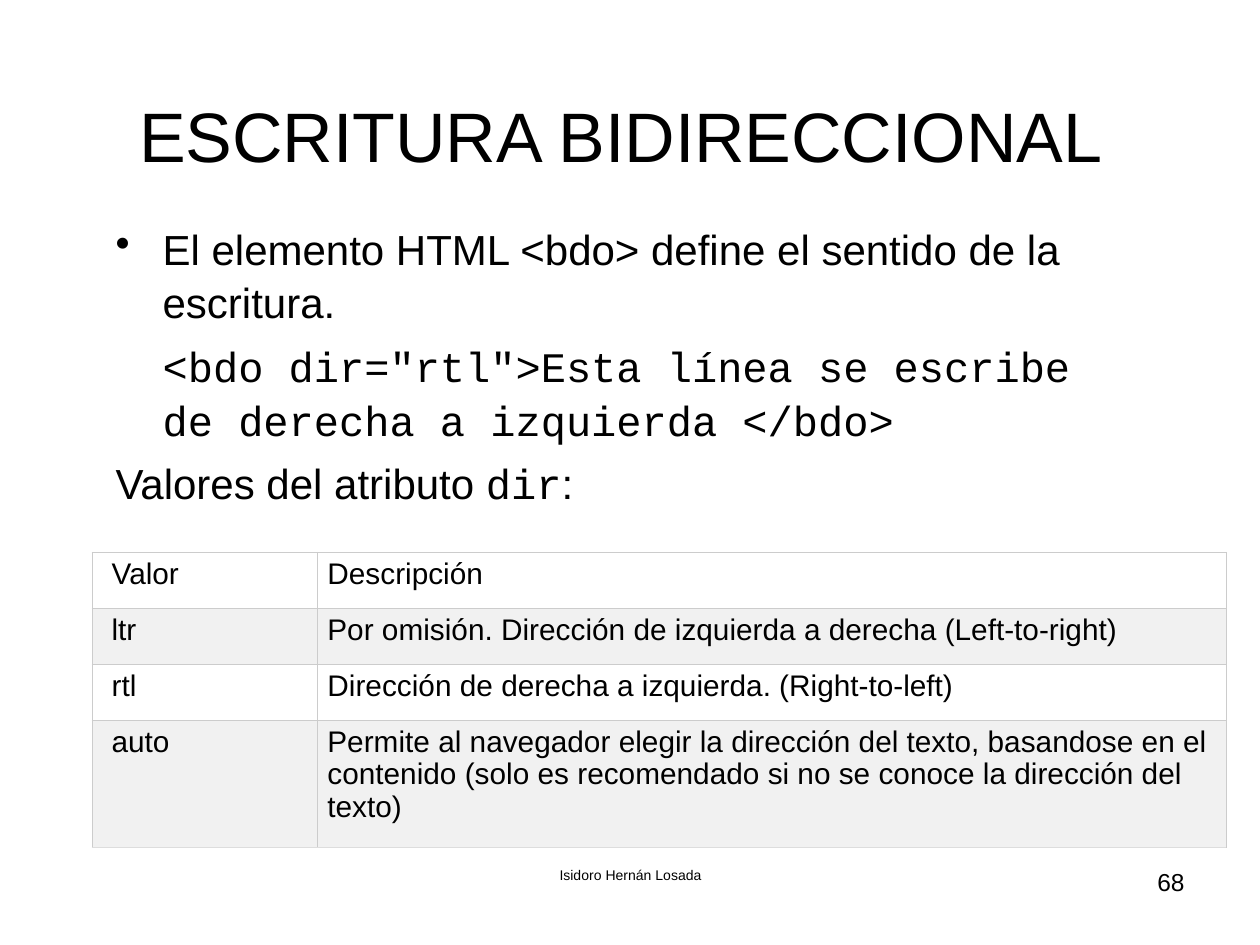
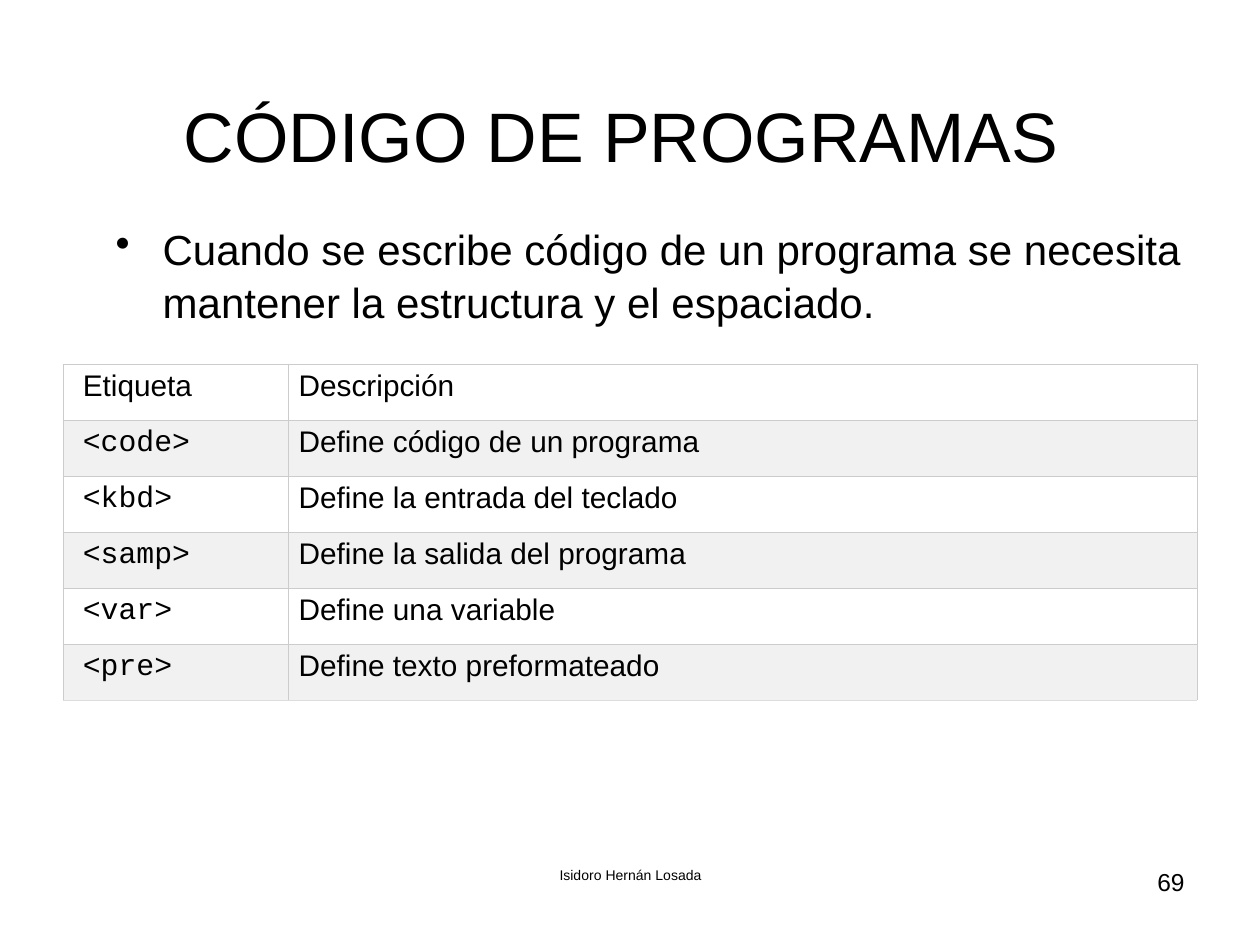
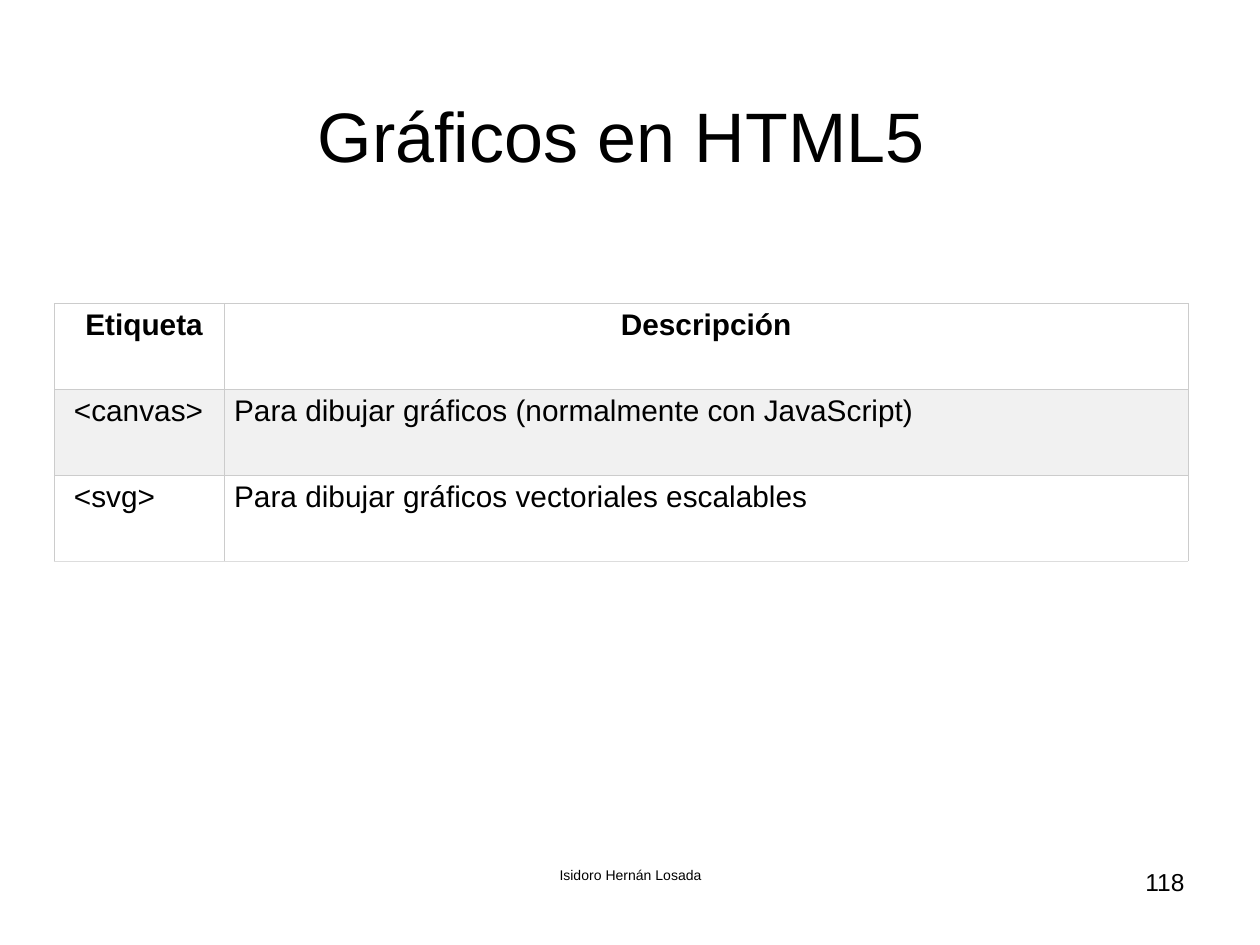
from lxml import etree
from pptx import Presentation
from pptx.dml.color import RGBColor
from pptx.enum.text import MSO_ANCHOR, PP_ALIGN
from pptx.oxml.ns import qn
from pptx.util import Cm, Pt

BLACK = RGBColor(0x00, 0x00, 0x00)
WHITE = RGBColor(0xFF, 0xFF, 0xFF)
STRIPE = RGBColor(0xF1, 0xF1, 0xF1)
BORDER = RGBColor(0xCC, 0xCC, 0xCC)
LAST_BORDER = RGBColor(0xDD, 0xDD, 0xDD)
LEFT, CENTER, RIGHT = PP_ALIGN.LEFT, PP_ALIGN.CENTER, PP_ALIGN.RIGHT
TOP, MIDDLE = MSO_ANCHOR.TOP, MSO_ANCHOR.MIDDLE
SANS, MONO = "Arial", "Courier New"

# Boxes are left, top, width, height in centimetres
TITLE_BOX = (1.09, 1.12, 22.86, 3.18)
BODY_BOX = (2.08, 4.32, 22.63, 12.57)
AUTHOR_BOX = (8.69, 17.35, 8.05, 1.32)
NUMBER_BOX = (18.21, 17.35, 5.92, 1.32)
HANGING = 0.95
ROW = 1.13
BORDER_WIDTH = Pt(0.34)


def write(para, text, size=24, font=SANS, bold=False, align=LEFT, spacing=1.0):
    """Add a run to the paragraph; a line break is written as \\v."""
    para.alignment = align
    para.line_spacing = spacing
    for index, line in enumerate(text.split("\v")):
        if index:
            para.add_line_break()
        span = para.add_run()
        span.text = line
        span.font.size = Pt(size)
        span.font.name = font
        span.font.bold = bold
        span.font.color.rgb = BLACK


def add_frame(page, box, anchor=TOP):
    frame = page.shapes.add_textbox(*map(Cm, box)).text_frame
    frame.word_wrap = True
    frame.vertical_anchor = anchor
    return frame


def indent(para, first_line=0.0, bullet=None):
    props = para._p.get_or_add_pPr()
    props.set("marL", str(Cm(HANGING)))
    props.set("indent", str(Cm(first_line)))
    if bullet:
        etree.SubElement(props, qn("a:buChar"), char=bullet)


def add_body(page, paragraphs):
    """Each paragraph is a kind (bullet, code or plain) and its (text, font) spans."""
    frame = add_frame(page, BODY_BOX)
    for index, (kind, spans) in enumerate(paragraphs):
        para = frame.add_paragraph() if index else frame.paragraphs[0]
        if kind == "bullet":
            indent(para, -HANGING, "•")
        elif kind == "code":
            indent(para)
        if index:
            para.space_before = Pt(6)
        for text, font in spans:
            write(para, text, font=font, spacing=1.06)


def set_borders(cell, bottom):
    props = cell._tc.get_or_add_tcPr()
    sides = {"a:lnL": BORDER, "a:lnR": BORDER, "a:lnT": BORDER, "a:lnB": bottom}
    for index, (side, color) in enumerate(sides.items()):
        line = etree.Element(qn(side), w=str(BORDER_WIDTH))
        fill = etree.SubElement(line, qn("a:solidFill"))
        etree.SubElement(fill, qn("a:srgbClr"), val=str(color))
        props.insert(index, line)


def add_grid(page, left, top, columns, heights, rows, key_font=SANS, strong_header=False):
    """Add a striped table of keys and descriptions."""
    box = (left, top, sum(columns), sum(heights))
    table = page.shapes.add_table(len(rows), len(columns), *map(Cm, box)).table
    table.horz_banding = table.first_row = False
    for column, width in zip(table.columns, columns):
        column.width = Cm(width)
    for r, (row, height, texts) in enumerate(zip(table.rows, heights, rows)):
        row.height = Cm(height)
        header = r == 0
        strong = header and strong_header
        for c, (cell, text) in enumerate(zip(row.cells, texts)):
            is_key = c == 0
            cell.margin_left = Cm(0.4 if is_key else 0.2)
            cell.margin_right = Cm(0.2)
            cell.margin_top = cell.margin_bottom = Cm(0.13)
            cell.fill.solid()
            cell.fill.fore_color.rgb = STRIPE if r % 2 else WHITE
            set_borders(cell, LAST_BORDER if r == len(rows) - 1 else BORDER)
            write(cell.text_frame.paragraphs[0], text, size=17, bold=strong,
                  font=key_font if is_key and not header else SANS,
                  align=CENTER if strong else LEFT, spacing=0.97)


def add_page(deck, title, number):
    """Add a slide with the shared title and footer."""
    page = deck.slides.add_slide(deck.slide_layouts[6])
    for box, text, size, align, anchor in (
        (TITLE_BOX, title, 40, CENTER, MIDDLE),
        (AUTHOR_BOX, "Isidoro Hernán Losada", 8, CENTER, TOP),
        (NUMBER_BOX, str(number), 14, RIGHT, TOP),
    ):
        write(add_frame(page, box, anchor).paragraphs[0], text, size=size, align=align)
    return page


def bidirectional_page(deck):
    page = add_page(deck, "ESCRITURA BIDIRECCIONAL", 68)
    add_body(page, [
        ("bullet", [("El elemento HTML <bdo> define el sentido de la escritura.", SANS)]),
        ("code", [('<bdo dir="rtl">Esta línea se escribe\vde derecha a izquierda </bdo>', MONO)]),
        ("plain", [("Valores del atributo ", SANS), ("dir", MONO), (":", SANS)]),
    ])
    add_grid(page, 1.85, 11.13, (4.55, 18.31), (ROW, ROW, ROW, 2.57), [
        ("Valor", "Descripción"),
        ("ltr", "Por omisión. Dirección de izquierda a derecha (Left-to-right)"),
        ("rtl", "Dirección de derecha a izquierda. (Right-to-left)"),
        ("auto", "Permite al navegador elegir la dirección del texto, basandose en el "
                 "contenido (solo es recomendado si no se conoce la dirección del texto)"),
    ])


def code_page(deck):
    page = add_page(deck, "CÓDIGO DE PROGRAMAS", 69)
    add_body(page, [
        ("bullet", [("Cuando se escribe código de un programa se necesita mantener "
                     "la estructura y el espaciado.", SANS)]),
    ])
    rows = [
        ("Etiqueta", "Descripción"),
        ("<code>", "Define código de un programa"),
        ("<kbd>", "Define la entrada del teclado"),
        ("<samp>", "Define la salida del programa"),
        ("<var>", "Define una variable"),
        ("<pre>", "Define texto preformateado"),
    ]
    add_grid(page, 1.27, 7.34, (4.55, 18.31), [ROW] * len(rows), rows, key_font=MONO)


def graphics_page(deck):
    page = add_page(deck, "Gráficos en HTML5", 118)
    rows = [
        ("Etiqueta", "Descripción"),
        ("<canvas>", "Para dibujar gráficos (normalmente con JavaScript)"),
        ("<svg>", "Para dibujar gráficos vectoriales escalables"),
    ]
    add_grid(page, 1.09, 6.12, (3.43, 19.43), [1.73] * len(rows), rows, strong_header=True)


def main():
    deck = Presentation()
    deck.slide_width, deck.slide_height = Cm(25.4), Cm(19.05)
    for build in (bidirectional_page, code_page, graphics_page):
        build(deck)
    deck.save("out.pptx")


if __name__ == "__main__":
    main()
